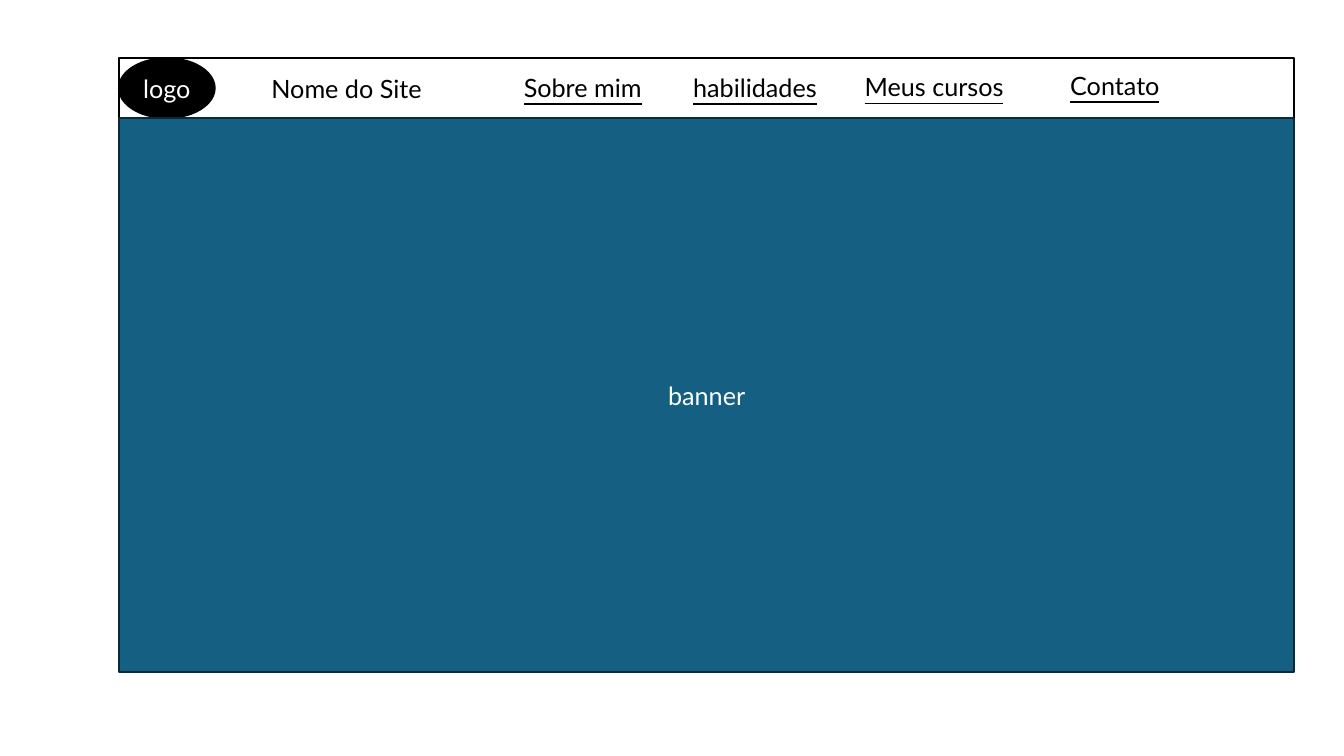
from pptx import Presentation
from pptx.dml.color import RGBColor
from pptx.enum.shapes import MSO_SHAPE
from pptx.enum.text import MSO_ANCHOR, MSO_AUTO_SIZE, PP_ALIGN
from pptx.util import Cm, Pt

BLACK, WHITE, BLUE, NAVY = "000000", "FFFFFF", "156082", "092A39"
LEFT, TOP, WIDTH, BAR = 3, 1.47, 29.62, 1.5


def tint(code):
    return RGBColor.from_string(code)


def add_box(group, kind, place, fill, edge, text="", ink=BLACK, weight=1.5):
    """Add a filled shape, its text centred, and return it with its run."""
    box = group.shapes.add_shape(kind, *[Cm(n) for n in place])
    box.shadow.inherit = False
    box.fill.solid()
    box.fill.fore_color.rgb = tint(fill)
    box.line.color.rgb = tint(edge)
    box.line.width = Pt(weight)
    if not text:
        return box, None
    frame = box.text_frame
    frame.word_wrap = True
    frame.vertical_anchor = MSO_ANCHOR.MIDDLE
    para = frame.paragraphs[0]
    para.alignment = PP_ALIGN.CENTER
    run = para.add_run()
    run.text = text
    run.font.name = "Lato"
    run.font.size = Pt(18)
    run.font.color.rgb = tint(ink)
    return box, run


deck = Presentation()
deck.slide_width, deck.slide_height = Cm(33.87), Cm(19.05)
slide = deck.slides.add_slide(deck.slide_layouts[6])
page = slide.shapes.add_group_shape()
RECT = MSO_SHAPE.RECTANGLE

# Header bar with logo and site name
add_box(page, RECT, (LEFT, TOP, WIDTH, BAR), WHITE, BLACK)
add_box(page, MSO_SHAPE.OVAL, (LEFT, TOP, 2.41, BAR), BLACK, BLACK, "logo", WHITE)
add_box(page, RECT, (5.84, 1.68, 5.79, 1.12), WHITE, WHITE, "Nome do Site")

# Menu links
menu = [
    ("Sobre mim", 12.95, 1.7, 3.76),
    ("habilidades", 17.22, 1.7, 3.76),
    ("Meus cursos", 21.54, 1.68, 4.22),
    ("Contato", 26.72, 1.65, 3.76),
]
for label, left, top, width in menu:
    link, run = add_box(page, RECT, (left, top, width, 1.02), WHITE, WHITE, label, weight=0.75)
    run.font.underline = True
    frame = link.text_frame
    frame.vertical_anchor = MSO_ANCHOR.TOP
    frame.auto_size = MSO_AUTO_SIZE.SHAPE_TO_FIT_TEXT
    frame.paragraphs[0].alignment = PP_ALIGN.LEFT

# Banner below the header
add_box(page, RECT, (LEFT, TOP + BAR, WIDTH, 13.97), BLUE, NAVY, "banner", WHITE)

deck.save("out.pptx")
